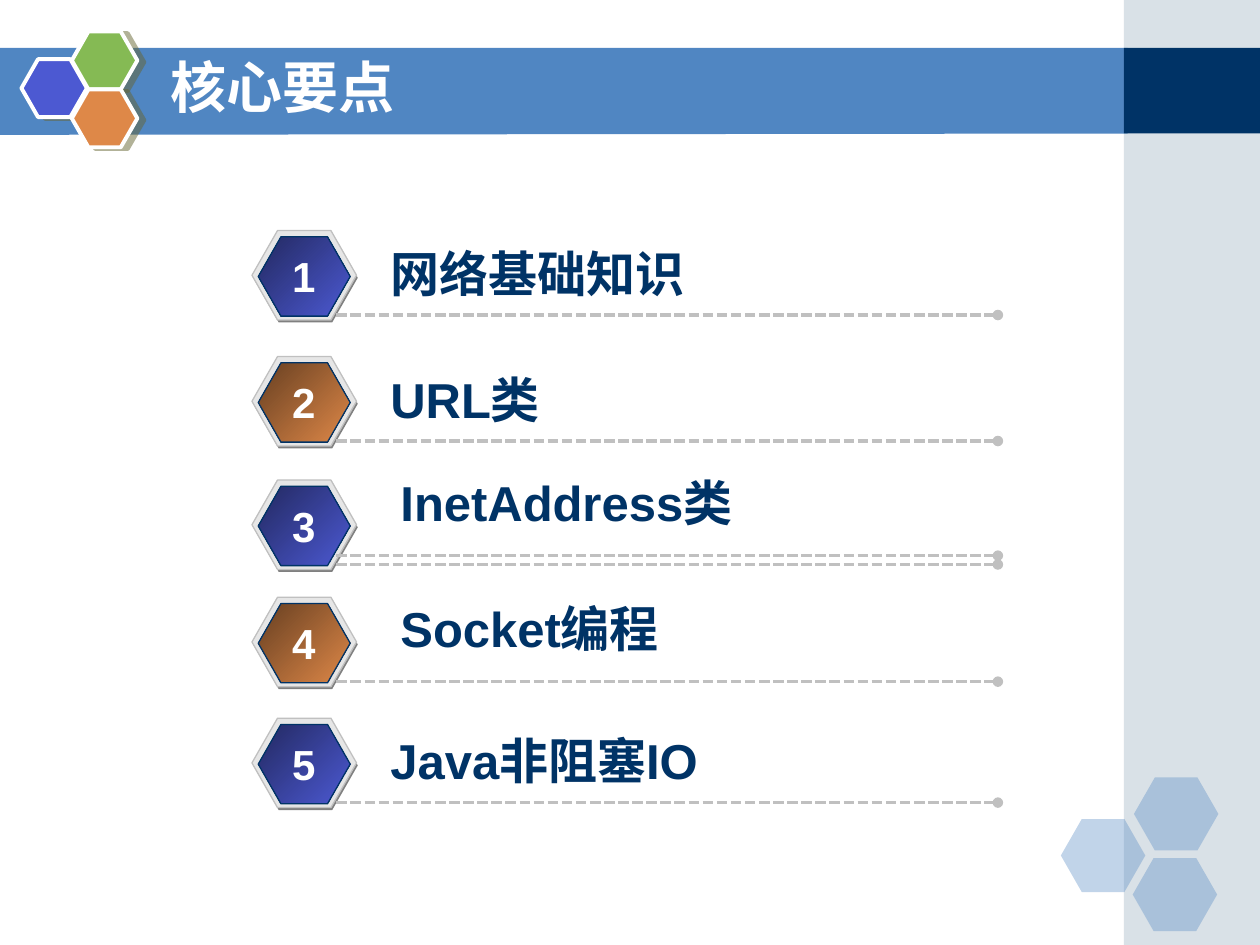
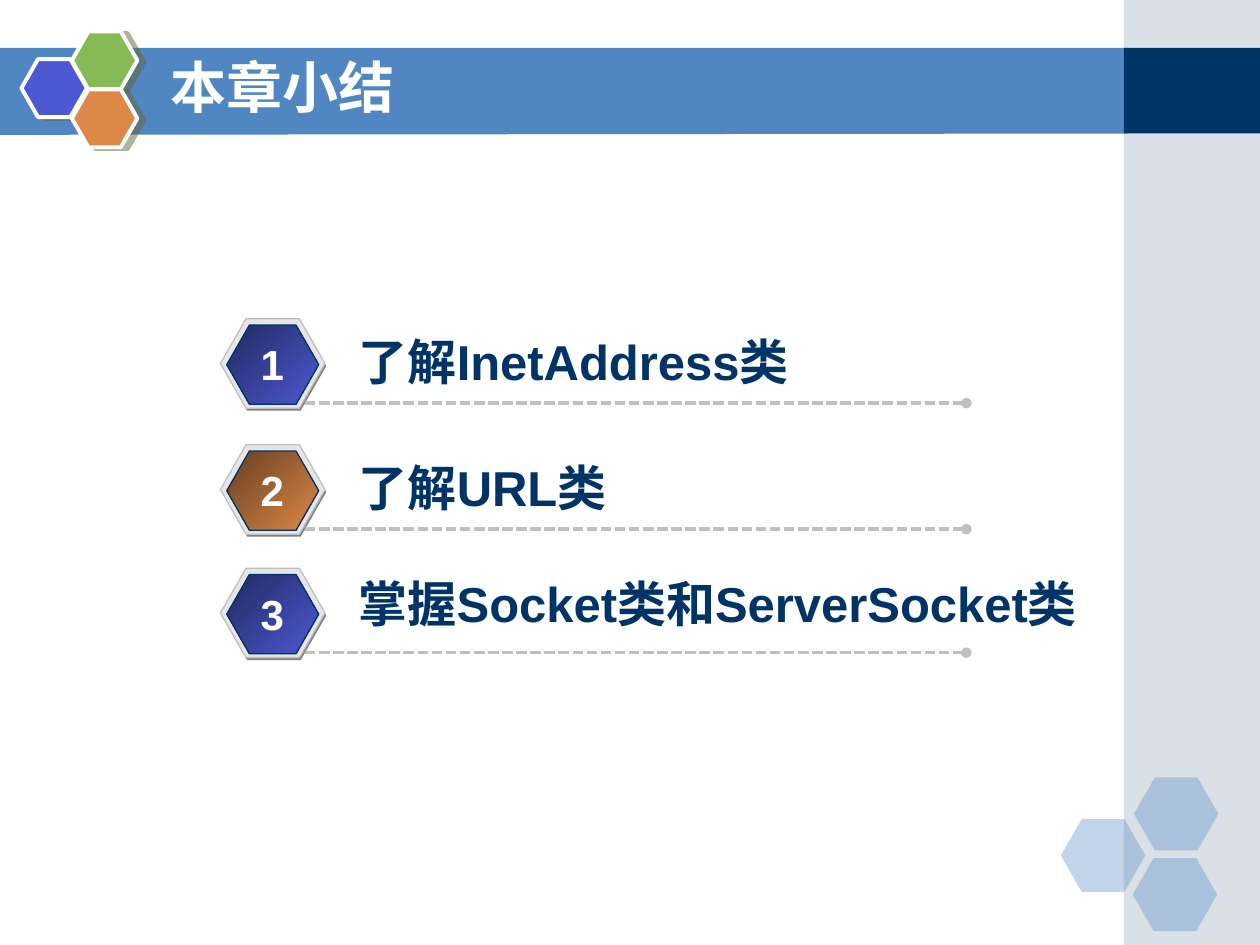
from dataclasses import dataclass

from lxml import etree
from pptx import Presentation
from pptx.dml.color import RGBColor
from pptx.enum.dml import MSO_LINE
from pptx.enum.shapes import MSO_CONNECTOR, MSO_SHAPE, PP_PLACEHOLDER
from pptx.enum.text import MSO_ANCHOR, MSO_AUTO_SIZE, PP_ALIGN
from pptx.oxml.ns import qn
from pptx.util import Inches, Pt


@dataclass(frozen=True)
class Theme:
    latin: str = "Arial"
    chinese: str = "Noto Sans CJK SC"
    title_size: int = 32
    topic_size: int = 28
    number_size: int = 24
    white: str = "FFFFFF"
    navy: str = "003366"
    band: str = "5086C2"
    side: str = "A0B5C4"
    blue: str = "4C59D2"
    dark_blue: str = "232961"
    green: str = "85BA54"
    orange: str = "DE8848"
    dark_orange: str = "673F21"
    badge_shade: str = "808080"
    badge_rim: str = "E6E6E6"
    rule: str = "C0C0C0"
    logo_shadow: str = "666633"


@dataclass(frozen=True)
class Topic:
    """One list row: its offset down the list, and its text box relative to the row."""
    text: str
    top: float
    left: float = 1.0
    rise: float = 0.05
    width: float = 4.58


THEME = Theme()
BADGE_GRADIENTS = [(THEME.dark_blue, THEME.blue), (THEME.dark_orange, THEME.orange)]
RULE_DROP = 0.67

CORE_TOPICS = [
    Topic("网络基础知识", 0),
    Topic("URL类", 1.0, width=4.75),
    Topic("InetAddress类", 1.98, left=1.08, rise=-0.11),
    Topic("Socket编程", 2.91, left=1.08, rise=-0.04, width=5.33),
    Topic("Java非阻塞IO", 3.87),
]
SUMMARY_TOPICS = [
    Topic("了解InetAddress类", 0),
    Topic("了解URL类", 1.0, width=4.75),
    Topic("掌握Socket类和ServerSocket类", 1.98, rise=-0.01, width=6.33),
]


def color(code):
    return RGBColor.from_string(code)


def fill_shape(shape, code, alpha=None):
    shape.fill.solid()
    shape.fill.fore_color.rgb = color(code)
    if alpha is not None:
        solid = shape.element.spPr.find(qn("a:solidFill"))
        etree.SubElement(solid[0], qn("a:alpha"), val=str(alpha * 1000))


def outline(shape, code=None, width=0.75):
    if code is None:
        shape.line.fill.background()
    else:
        shape.line.color.rgb = color(code)
        shape.line.width = Pt(width)


def add_plain(shapes, kind, left, top, width, height, code, alpha=None):
    shape = shapes.add_shape(kind, Inches(left), Inches(top), Inches(width), Inches(height))
    shape.shadow.inherit = False
    fill_shape(shape, code, alpha)
    outline(shape)
    return shape


def add_hexagon(shapes, left, top, width, height, code, alpha=None):
    hexagon = add_plain(shapes, MSO_SHAPE.HEXAGON, left, top, width, height, code, alpha)
    hexagon.adjustments[0] = 0.286
    return hexagon


def format_text(text_frame, size, code, latin):
    for run in text_frame.paragraphs[0].runs:
        font = run.font
        font.size, font.bold, font.name = Pt(size), True, latin
        font.color.rgb = color(code)
        latin_element = run._r.rPr.find(qn("a:latin"))
        east_asian = etree.Element(qn("a:ea"), typeface=THEME.chinese)
        latin_element.addnext(east_asian)


def add_text(shapes, left, top, width, height, text, size, code, align, wrap):
    box = shapes.add_textbox(Inches(left), Inches(top), Inches(width), Inches(height))
    frame = box.text_frame
    frame.text = text
    frame.word_wrap = wrap
    frame.auto_size = MSO_AUTO_SIZE.SHAPE_TO_FIT_TEXT
    frame.paragraphs[0].alignment = align
    format_text(frame, size, code, THEME.latin)


def add_dotted_rule(shapes, left, top, width):
    rule = shapes.add_connector(MSO_CONNECTOR.STRAIGHT, Inches(left), Inches(top),
                                Inches(left + width), Inches(top))
    outline(rule, THEME.rule, 2)
    rule.line.dash_style = MSO_LINE.SQUARE_DOT
    etree.SubElement(rule.line._get_or_add_ln(), qn("a:tailEnd"), type="oval")
    etree.SubElement(rule.element.spPr, qn("a:effectLst"))


def add_bands(shapes):
    corners = [(-0.01, 0.38), (8.95, 0.38), (8.95, 1.06), (-0.01, 1.07)]
    points = [(Inches(x), Inches(y)) for x, y in corners]
    builder = shapes.build_freeform(*points[0])
    builder.add_line_segments(points[1:], close=True)
    title_band = builder.convert_to_shape()
    title_band.shadow.inherit = False
    fill_shape(title_band, THEME.band)
    outline(title_band)
    add_plain(shapes, MSO_SHAPE.RECTANGLE, 8.92, 0, 1.08, 7.5, THEME.side, 40)
    add_plain(shapes, MSO_SHAPE.RECTANGLE, 8.92, 0.38, 1.08, 0.68, THEME.navy)


def add_corner_hexagons(shapes, left, top):
    for x, y in [(0, 0.33), (0.58, 0), (0.57, 0.64)]:
        add_hexagon(shapes, left + x, top + y, 0.67, 0.58, THEME.band, 35)


def add_shadow(shape):
    effects = shape.element.spPr.find(qn("a:effectLst"))
    shadow = etree.SubElement(effects, qn("a:outerShdw"), dist=str(Pt(4.1)),
                              dir=str(14 * 60000), algn="ctr", rotWithShape="0")
    tint = etree.SubElement(shadow, qn("a:srgbClr"), val=THEME.logo_shadow)
    etree.SubElement(tint, qn("a:alpha"), val="50000")


def add_title_hexagons(shapes, left, top):
    cells = [(0, 0.22, THEME.blue), (0.4, 0, THEME.green), (0.4, 0.46, THEME.orange)]
    for x, y, code in cells:
        hexagon = add_hexagon(shapes, left + x, top + y, 0.52, 0.46, code)
        outline(hexagon, THEME.white, 2.25)
        add_shadow(hexagon)


def move_to_layout(slide, layout):
    """Turn the decoration drawn on a slide into the layout's background."""
    for placeholder in list(layout.placeholders):
        if placeholder.placeholder_format.type != PP_PLACEHOLDER.TITLE:
            placeholder.element.getparent().remove(placeholder.element)
    decoration = [shape for shape in slide.shapes if not shape.is_placeholder]
    for position, shape in enumerate(decoration, start=2):
        layout.shapes.element.insert(position, shape.element)


def add_frame(slide, layout):
    add_bands(slide.shapes)
    add_corner_hexagons(slide.shapes, 8.42, 6.17)
    add_title_hexagons(slide.shapes, 0.17, 0.25)
    move_to_layout(slide, layout)


def set_title(slide, text):
    title = slide.shapes.title
    title.left, title.top = Inches(1.25), Inches(0.33)
    title.width, title.height = Inches(7.33), Inches(0.7)
    frame = title.text_frame
    frame.text = text
    frame.auto_size = MSO_AUTO_SIZE.NONE
    frame.vertical_anchor = MSO_ANCHOR.MIDDLE
    frame.paragraphs[0].alignment = PP_ALIGN.LEFT
    format_text(frame, THEME.title_size, THEME.white, THEME.chinese)


def add_badge(shapes, left, top, gradient):
    badge = shapes.add_group_shape().shapes
    add_hexagon(badge, left + 0.01, top + 0.02, 0.83, 0.71, THEME.badge_shade)
    rim = add_hexagon(badge, left, top, 0.83, 0.71, THEME.badge_rim)
    outline(rim, THEME.rule)
    face = add_hexagon(badge, left + 0.05, top + 0.05, 0.73, 0.63, gradient[1])
    face.fill.gradient()
    face.fill.gradient_angle = 315
    for stop, code in zip(face.fill.gradient_stops, gradient):
        stop.color.rgb = color(code)
    outline(face, THEME.navy)


def add_topic_row(shapes, left, top, number, topic):
    add_badge(shapes, left, top, BADGE_GRADIENTS[(number - 1) % 2])
    add_dotted_rule(shapes, left + RULE_DROP, top + RULE_DROP, 5.25)
    add_text(shapes, left + topic.left, top + topic.rise, topic.width, 0.57,
             topic.text, THEME.topic_size, THEME.navy, PP_ALIGN.LEFT, True)
    add_text(shapes, left + 0.22, top + 0.11, 0.38, 0.5,
             str(number), THEME.number_size, THEME.white, PP_ALIGN.CENTER, False)


def add_topic_list(shapes, left, top, topics):
    for number, topic in enumerate(topics, start=1):
        add_topic_row(shapes, left, top + topic.top, number, topic)


def main():
    presentation = Presentation()
    presentation.slide_width, presentation.slide_height = Inches(10), Inches(7.5)
    layout = presentation.slide_layouts.get_by_name("Title Only")

    core_slide = presentation.slides.add_slide(layout)
    add_frame(core_slide, layout)
    set_title(core_slide, "核心要点")
    add_topic_list(core_slide.shapes, 2.0, 1.83, CORE_TOPICS)
    add_dotted_rule(core_slide.shapes, 2.67, 4.41, 5.25)

    summary_slide = presentation.slides.add_slide(layout)
    set_title(summary_slide, "本章小结")
    add_topic_list(summary_slide.shapes, 1.75, 2.53, SUMMARY_TOPICS)

    presentation.save("out.pptx")


if __name__ == "__main__":
    main()
